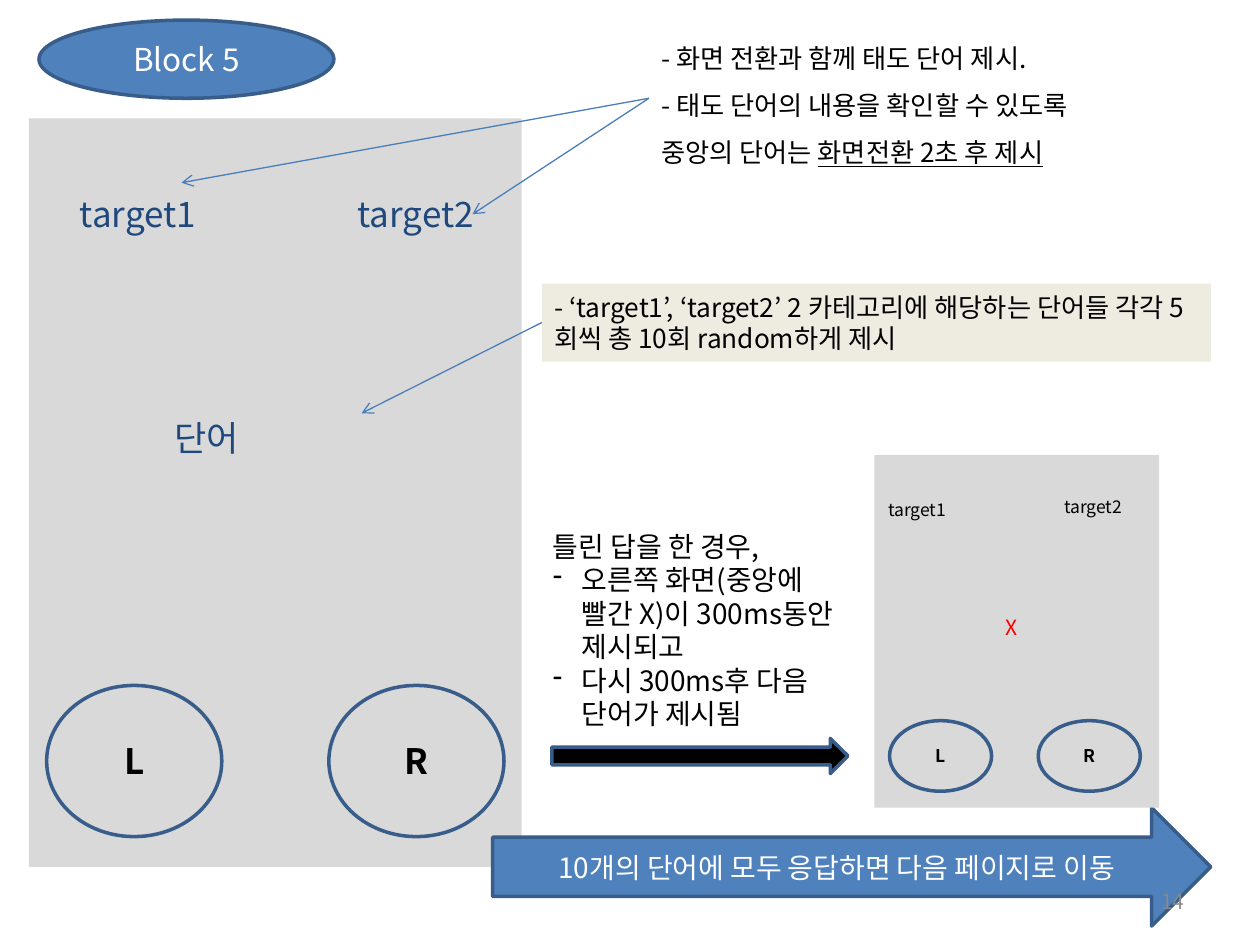
import lxml.etree
import pptx
import pptx.dml.color
import pptx.enum.shapes
import pptx.enum.text
import pptx.oxml.ns
import pptx.util

Inches = pptx.util.Inches
Pt = pptx.util.Pt
Shape = pptx.enum.shapes.MSO_SHAPE
Align = pptx.enum.text.PP_ALIGN
Anchor = pptx.enum.text.MSO_ANCHOR
qn = pptx.oxml.ns.qn

FONT = "Noto Sans CJK KR"
COLORS = {
    "panel": "D9D9D9", "blue": "4F81BD", "outline": "385D8A", "connector": "4A7EBB",
    "navy": "1F497D", "note": "EEECE1", "black": "000000", "white": "FFFFFF",
    "red": "FF0000", "gray": "898989",
}

MAIN_SCREEN = {
    "panel": (0.23, 0.94, 3.91, 5.94),
    "labels": [
        ("target1", (0, 1.46, 2.19, 0.47), 20, "navy"),
        ("target2", (2.46, 1.46, 1.68, 0.47), 20, "navy"),
        ("단어", (1.04, 3.24, 1.2, 0.47), 20, "navy"),
    ],
    "buttons": [("L", (0.37, 5.44, 1.39, 1.2)), ("R", (2.61, 5.44, 1.39, 1.2))],
    "button_size": 20,
}
ERROR_SCREEN = {
    "panel": (6.94, 3.61, 2.26, 2.8),
    "labels": [
        ("target1", (6.72, 3.93, 1.12, 0.22), 10, "black"),
        ("target2", (8.19, 3.91, 0.97, 0.22), 10, "black"),
        ("X", (7.06, 4.83, 1.94, 0.3), 12, "red"),
    ],
    "buttons": [("L", (7.06, 5.72, 0.81, 0.56)), ("R", (8.24, 5.72, 0.81, 0.56))],
    "button_size": 10,
}
ATTITUDE_NOTES = [
    ["- 화면 전환과 함께 태도 단어 제시."],
    ["- 태도 단어의 내용을 확인할 수 있도록"],
    ["중앙의 단어는 ", "화면전환 2초 후 제시"],
]
RANDOM_NOTE = [["- ‘target1’, ‘target2’ 2 카테고리에 해당하는 단어들 각각 5회씩 총 10회 random하게 제시"]]
ERROR_NOTES = [
    ["틀린 답을 한 경우,"],
    ["오른쪽 화면(중앙에 빨간 X)이 300ms동안 제시되고"],
    ["다시 300ms후 다음 단어가 제시됨"],
]
TARGET_POINTERS = [((5.15, 0.78), (1.44, 1.45)), ((5.15, 0.78), (3.75, 1.7))]
WORD_POINTER = ((4.3, 2.56), (2.87, 3.28))

presentation = pptx.Presentation()
presentation.slide_width = Inches(10)
presentation.slide_height = Inches(7.5)
slide = presentation.slides.add_slide(presentation.slide_layouts[6])


def rgb(name):
    return pptx.dml.color.RGBColor.from_string(COLORS[name])


def write(shape, lines, size, color, align=Align.CENTER, anchor=Anchor.MIDDLE, bold=False):
    frame = shape.text_frame
    frame.word_wrap = True
    frame.vertical_anchor = anchor
    for index, runs in enumerate(lines):
        paragraph = frame.paragraphs[0] if index == 0 else frame.add_paragraph()
        paragraph.alignment = align
        for text in runs:
            paragraph.add_run().text = text
        font = paragraph.font
        font.size = Pt(size)
        font.bold = bold
        font.color.rgb = rgb(color)
        font.name = FONT
        properties = paragraph._p.pPr.find(qn("a:defRPr"))
        lxml.etree.SubElement(properties, qn("a:ea"), typeface=FONT)
    return frame.paragraphs


def add_shape(kind, box, fill=None, outlined=False):
    shape = slide.shapes.add_shape(kind, *map(Inches, box))
    shape.shadow.inherit = False
    if fill:
        shape.fill.solid()
        shape.fill.fore_color.rgb = rgb(fill)
    else:
        shape.fill.background()
    if outlined:
        shape.line.color.rgb = rgb("outline")
        shape.line.width = Pt(2)
    else:
        shape.line.fill.background()
    return shape


def add_text(box, lines, size, color, align=Align.CENTER, anchor=Anchor.MIDDLE):
    text_box = slide.shapes.add_textbox(*map(Inches, box))
    return write(text_box, lines, size, color, align, anchor)


def add_pointer(start, end):
    connector = slide.shapes.add_connector(
        pptx.enum.shapes.MSO_CONNECTOR.STRAIGHT, *map(Inches, start + end))
    connector.line.color.rgb = rgb("connector")
    connector.line.width = Pt(0.75)
    line = connector.line._get_or_add_ln()
    lxml.etree.SubElement(line, qn("a:tailEnd"), type="arrow")
    lxml.etree.SubElement(connector._element.spPr, qn("a:effectLst"))
    return connector


def add_screen(screen):
    add_shape(Shape.RECTANGLE, screen["panel"], "panel")
    for text, box, size, color in screen["labels"]:
        add_text(box, [[text]], size, color)
    for text, box in screen["buttons"]:
        button = add_shape(Shape.OVAL, box, outlined=True)
        write(button, [[text]], screen["button_size"], "black", bold=True)


def add_dash(paragraph):
    properties = paragraph._p.pPr
    properties.set("marL", str(Inches(0.23)))
    properties.set("indent", str(-Inches(0.23)))
    bullet = lxml.etree.Element(qn("a:buChar"), char="-")
    properties.find(qn("a:defRPr")).addprevious(bullet)


add_screen(MAIN_SCREEN)
next_page = add_shape(Shape.RIGHT_ARROW, (3.91, 6.41, 5.7, 0.94), "blue", True)
write(next_page, [["10개의 단어에 모두 응답하면 다음 페이지로 이동"]], 16, "white")
title = add_shape(Shape.OVAL, (0.31, 0.16, 2.34, 0.62), "blue", True)
write(title, [["Block 5"]], 18, "white")

for start, end in TARGET_POINTERS:
    add_pointer(start, end)
attitude = add_text((5.15, 0.16, 4.26, 1.23), ATTITUDE_NOTES, 15, "black", Align.LEFT, Anchor.TOP)
for paragraph in attitude:
    paragraph.line_spacing = 1.5
attitude[-1].runs[-1].font.underline = True

random_note = add_shape(Shape.RECTANGLE, (4.3, 2.25, 5.31, 0.62), "note")
write(random_note, RANDOM_NOTE, 15, "black", Align.LEFT)
add_pointer(*WORD_POINTER).begin_connect(random_note, 1)

add_screen(ERROR_SCREEN)
add_shape(Shape.RIGHT_ARROW, (4.38, 5.86, 2.35, 0.28), "black", True)
error = add_text((4.29, 4.15, 2.5, 1.7), ERROR_NOTES, 16, "black", Align.LEFT, Anchor.TOP)
for paragraph in error[1:]:
    add_dash(paragraph)

add_text((7.17, 6.95, 2.33, 0.4), [["14"]], 12, "gray", Align.RIGHT)

presentation.save("out.pptx")
